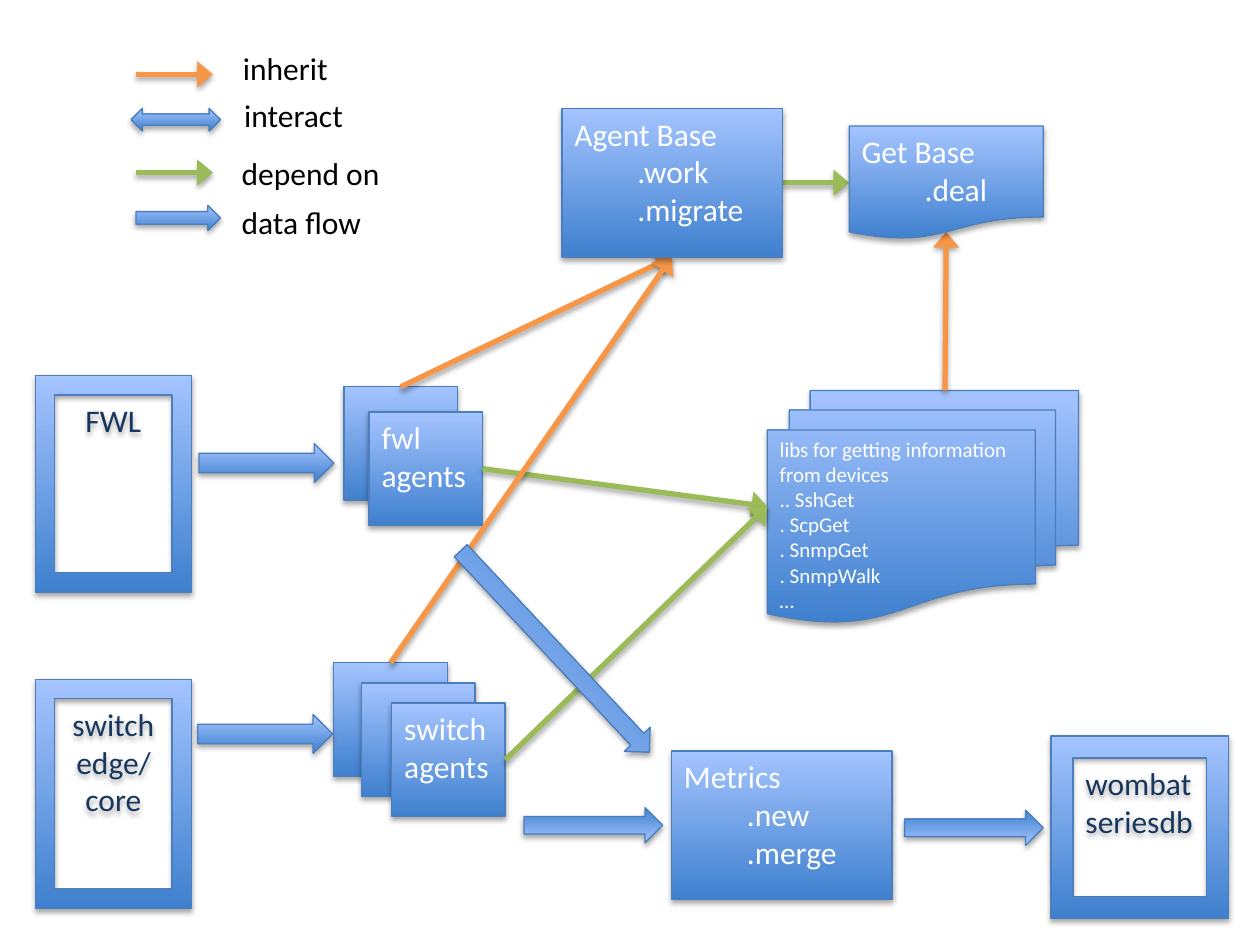
from lxml import etree
from pptx import Presentation, util as u
from pptx.dml.color import RGBColor
from pptx.enum import shapes, text
from pptx.oxml import parse_xml
from pptx.oxml.ns import nsdecls, qn

DARK = RGBColor(0x3F, 0x80, 0xCE)
LIGHT = RGBColor(0xA4, 0xC4, 0xFF)
EDGE = RGBColor(0x4B, 0x7E, 0xBC)
NAVY = RGBColor(0x17, 0x37, 0x5E)
WHITE = RGBColor(0xFF, 0xFF, 0xFF)
BLACK = RGBColor(0, 0, 0)
ORANGE = RGBColor(0xF7, 0x96, 0x46)
GREEN = RGBColor(0x9B, 0xBB, 0x59)

KIND = shapes.MSO_SHAPE
LEFT, MID = text.PP_ALIGN.LEFT, text.PP_ALIGN.CENTER
SIDE = 0.9

devices = [
    ((0.28, 2.98, 1.24, 1.72), ["FWL"], MID),
    ((0.28, 5.39, 1.24, 1.82), ["switch", "edge/core"], MID),
    ((8.34, 5.84, 1.41, 1.45), ["wombat", "seriesdb"], LEFT),
]
stacks = [
    ([(2.73, 3.07), (2.93, 3.27)], "fwl agents"),
    ([(2.65, 5.26), (2.87, 5.42), (3.11, 5.58)], "switch agents"),
]
libs = ["libs for getting information from devices", ".. SshGet", ". ScpGet",
        ". SnmpGet", ". SnmpWalk", "…"]
boxes = [
    (KIND.RECTANGLE, (4.46, 0.86, 1.75, 1.18), ["Agent Base", ".work", ".migrate"], 1),
    (KIND.RECTANGLE, (5.33, 5.96, 1.75, 1.18), ["Metrics", "\t.new", "\t.merge"], 0),
    (KIND.FLOWCHART_DOCUMENT, (6.74, 1, 1.54, 0.9), ["Get Base", ".deal"], 1),
]
wires = [
    (GREEN, (3.83, 3.72), (6.09, 4.02)),
    (GREEN, (4.01, 6.03), (6.09, 4.02)),
    (ORANGE, (3.18, 3.07), (5.33, 2.04)),
    (ORANGE, (3.1, 5.26), (5.33, 2.04)),
    (ORANGE, (7.5, 3.1), (7.51, 1.84)),
    (ORANGE, (1.08, 0.59), (1.69, 0.59)),
    (GREEN, (1.08, 1.37), (1.69, 1.37)),
    (GREEN, (6.21, 1.45), (6.74, 1.45)),
]
labels = [
    ("inherit", (1.83, 0.34, 0.88, 0.4)),
    ("interact", (1.84, 0.71, 1, 0.4)),
    ("depend on", (1.82, 1.17, 1.31, 0.4)),
    ("data flow", (1.82, 1.56, 1.17, 0.4)),
]
flows = [
    (KIND.LEFT_RIGHT_ARROW, (1.04, 0.86, 0.71, 0.18), 0, False),
    (KIND.RIGHT_ARROW, (1.08, 1.63, 0.67, 0.2), 0, False),
    (KIND.RIGHT_ARROW, (3.31, 5.03, 2.19, 0.28), 46.9, True),
    (KIND.RIGHT_ARROW, (4.16, 6.41, 1.1, 0.28), 0, True),
    (KIND.RIGHT_ARROW, (7.18, 6.43, 1.1, 0.28), 0, True),
    (KIND.RIGHT_ARROW, (1.58, 3.52, 1.07, 0.31), 0, False),
    (KIND.RIGHT_ARROW, (1.57, 5.67, 1.07, 0.31), 0, False),
]


def cm(*nums):
    return [u.Cm(n * 2.54) for n in nums]


def shade(item):
    item._element.spPr.append(parse_xml(
        f'<a:effectLst {nsdecls("a")}><a:outerShdw blurRad="40000" dist="23000" '
        'dir="5400000" rotWithShape="0"><a:srgbClr val="000000">'
        '<a:alpha val="35000"/></a:srgbClr></a:outerShdw></a:effectLst>'))


def write(item, lines, size=18, color=WHITE, align=LEFT, level=0):
    frame = item.text_frame
    frame.vertical_anchor = text.MSO_ANCHOR.TOP
    frame.text = "\n".join(lines)
    for i, para in enumerate(frame.paragraphs):
        para.alignment = align
        if level and i:
            para.level = level
            para._p.get_or_add_pPr().set("marL", str(cm(0.5)[0]))
        for run in para.runs:
            font = run.font
            font.name, font.size = "Calibri", u.Pt(size)
            font.color.rgb = color


def block(kind, at, turn=0, flip=False):
    item = slide.shapes.add_shape(kind, *cm(*at))
    item.fill.gradient()
    item.fill.gradient_angle = 90
    for stop, color, spot in zip(item.fill.gradient_stops, (DARK, LIGHT), (0, 1)):
        stop.color.rgb, stop.position = color, spot
    item.line.color.rgb, item.line.width = EDGE, u.Pt(0.75)
    shade(item)
    item.rotation = turn
    if flip:
        item._element.spPr.find(qn("a:xfrm")).set("flipV", "1")
    return item


def wire(color, start, end):
    item = slide.shapes.add_connector(
        shapes.MSO_CONNECTOR.STRAIGHT, *cm(*start, *end))
    item.line.color.rgb, item.line.width = color, u.Pt(3)
    etree.SubElement(item.line._get_or_add_ln(), qn("a:tailEnd"),
                     type="triangle", w="lg")
    shade(item)


deck = Presentation()
deck.slide_width, deck.slide_height = cm(10, 7.5)
slide = deck.slides.add_slide(deck.slide_layouts[6])

for at, lines, align in devices:
    write(block(KIND.FRAME, at), lines, color=NAVY, align=align)
for spots, name in stacks:
    for spot in spots:
        card = block(KIND.RECTANGLE, (*spot, SIDE, SIDE))
    write(card, [name])
write(block(KIND.FLOWCHART_MULTIDOCUMENT, (6.09, 3.1, 2.47, 1.84)), libs, size=12)
for row in wires:
    wire(*row)
for kind, at, lines, level in boxes:
    write(block(kind, at), lines, level=level)
for name, at in labels:
    label = slide.shapes.add_textbox(*cm(*at))
    label.text_frame.word_wrap = False
    label.text_frame.auto_size = text.MSO_AUTO_SIZE.SHAPE_TO_FIT_TEXT
    write(label, [name], color=BLACK)
for row in flows:
    block(*row)

deck.save("out.pptx")
